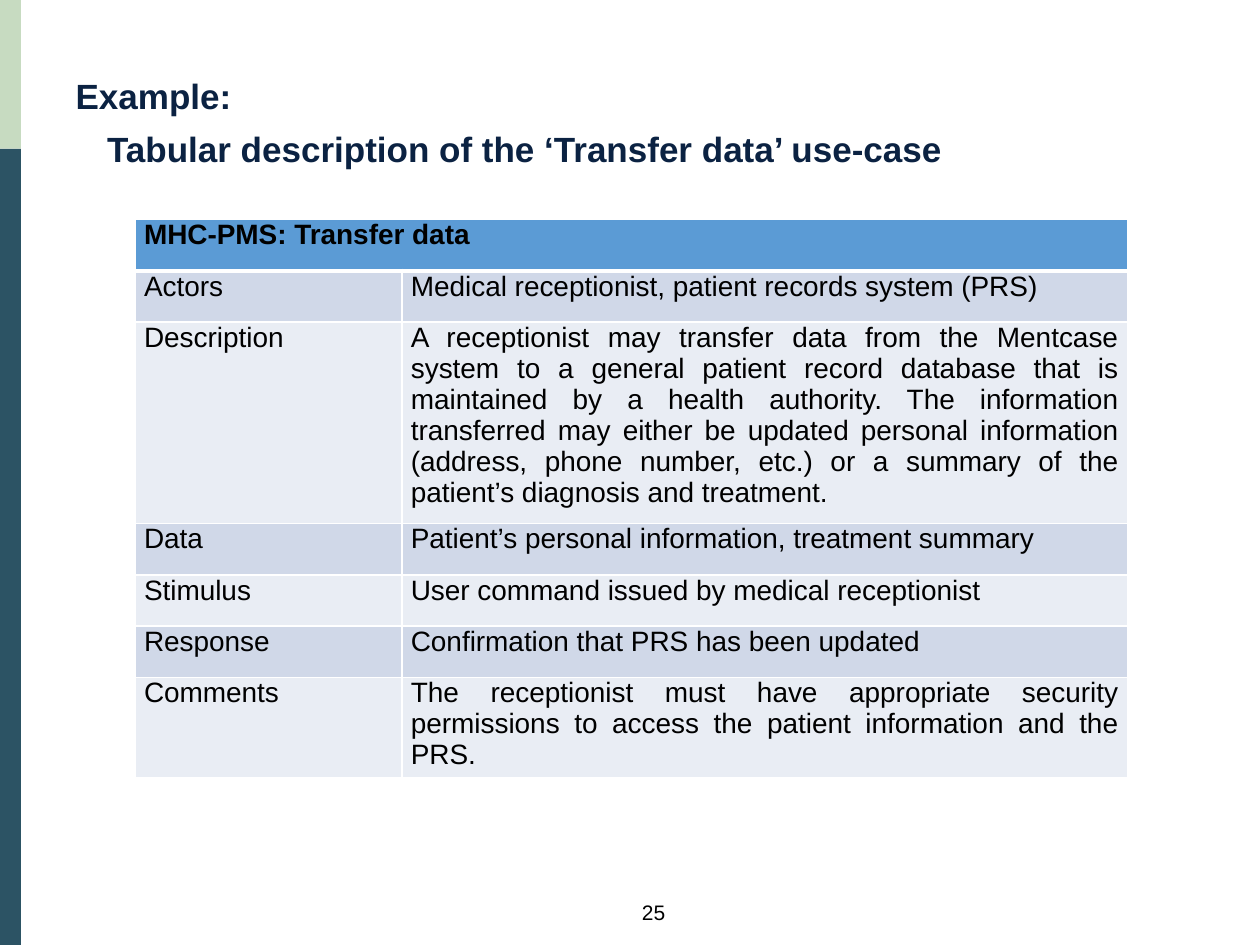
from lxml import etree
from pptx import Presentation
from pptx.dml.color import RGBColor
from pptx.enum.shapes import MSO_SHAPE
from pptx.enum.text import MSO_ANCHOR, MSO_AUTO_SIZE, PP_ALIGN
from pptx.oxml.ns import qn
from pptx.util import Pt

RECT = MSO_SHAPE.RECTANGLE
TOP = MSO_ANCHOR.TOP
LEFT, CENTER, JUST = PP_ALIGN.LEFT, PP_ALIGN.CENTER, PP_ALIGN.JUSTIFY
NO_FIT = MSO_AUTO_SIZE.NONE

GREEN = RGBColor(0xC7, 0xDB, 0xC1)
TEAL = RGBColor(0x2C, 0x53, 0x64)
NAVY = RGBColor(0x0B, 0x22, 0x42)
BLACK = RGBColor(0, 0, 0)
HEAD = RGBColor(0x5B, 0x9B, 0xD5)
BANDS = RGBColor(0xD0, 0xD8, 0xE8), RGBColor(0xE9, 0xED, 0xF4)
EDGE = "FFFFFF"
FONT = "Arial"

TITLE = "Example:\vTabular description of the ‘Transfer data’ use-case"
CASE = "MHC-PMS: Transfer data"
ROWS = [
    ("Actors", "Medical receptionist, patient records system (PRS)"),
    ("Description",
     "A receptionist may transfer data from the Mentcase system to a general "
     "patient record database that is maintained by a health authority. The "
     "information transferred may either be updated personal information "
     "(address, phone number, etc.) or a summary of the patient’s diagnosis "
     "and treatment."),
    ("Data", "Patient’s personal information, treatment summary"),
    ("Stimulus", "User command issued by medical receptionist"),
    ("Response", "Confirmation that PRS has been updated"),
    ("Comments",
     "The receptionist must have appropriate security permissions to access "
     "the patient information and the PRS."),
]


def style(para, size, color, bold=False, align=LEFT):
    para.alignment = align
    for run in para.runs:
        font = run.font
        font.name, font.size, font.bold = FONT, Pt(size), bold
        font.color.rgb = color


def add_rail(slide, x, y, w, h, split):
    """Side rail: a light part above a dark one."""
    for top, size, color in ((y, split, GREEN), (y + split, h - split, TEAL)):
        bar = slide.shapes.add_shape(RECT, Pt(x), Pt(top), Pt(w), Pt(size))
        bar.shadow.inherit = False
        bar.fill.solid()
        bar.fill.fore_color.rgb = color
        bar.line.fill.background()


def set_title(slide, x, y, w, h):
    title = slide.shapes.title
    title.left, title.top, title.width, title.height = Pt(x), Pt(y), Pt(w), Pt(h)
    frame = title.text_frame
    frame.text = TITLE
    frame.vertical_anchor = TOP
    frame.auto_size = NO_FIT
    para = frame.paragraphs[0]
    para.line_spacing = Pt(30)
    # Hanging indent
    props = para._p.get_or_add_pPr()
    props.set("marL", str(Pt(18)))
    props.set("indent", str(Pt(-18)))
    style(para, 20, NAVY, bold=True)


def set_edges(cell, top, bottom):
    props = cell._tc.get_or_add_tcPr()
    sides = (("a:lnL", 1), ("a:lnR", 1), ("a:lnT", top), ("a:lnB", bottom))
    for spot, (tag, width) in enumerate(sides):
        line = etree.Element(qn(tag), w=str(Pt(width)))
        fill = etree.SubElement(line, qn("a:solidFill"))
        etree.SubElement(fill, qn("a:srgbClr"), val=EDGE)
        props.insert(spot, line)


def fill_cell(cell, text, color, bold=False, top=1, bottom=1):
    cell.text = text
    cell.margin_left = cell.margin_right = Pt(5)
    cell.margin_top = cell.margin_bottom = 0
    cell.fill.solid()
    cell.fill.fore_color.rgb = color
    set_edges(cell, top, bottom)
    style(cell.text_frame.paragraphs[0], 16, BLACK, bold, JUST)


def add_case(slide, x, y, w, label, row):
    """Use-case table; rows grow with their text."""
    count = len(ROWS) + 1
    grid = slide.shapes.add_table(
        count, 2, Pt(x), Pt(y), Pt(w), Pt(row * count)).table
    grid.columns[0].width = Pt(label)
    grid.columns[1].width = Pt(w - label)
    for line in grid.rows:
        line.height = Pt(row)
    # Heading across both columns
    grid.cell(0, 0).merge(grid.cell(0, 1))
    fill_cell(grid.cell(0, 0), CASE, HEAD, bold=True, bottom=3)
    # Banded body
    for r, texts in enumerate(ROWS, 1):
        for c, text in enumerate(texts):
            fill_cell(grid.cell(r, c), text, BANDS[(r - 1) % 2],
                      top=3 if r == 1 else 1)


def add_number(slide, x, y, w, h):
    frame = slide.shapes.add_textbox(Pt(x), Pt(y), Pt(w), Pt(h)).text_frame
    frame.word_wrap = True
    frame.text = "25"
    style(frame.paragraphs[0], 12, BLACK, align=CENTER)


def main():
    deck = Presentation()
    deck.slide_width, deck.slide_height = Pt(720), Pt(540)
    slide = deck.slides.add_slide(deck.slide_layouts[5])
    add_number(slide, 318.5, 510.5, 110, 22)
    add_rail(slide, 0, 0, 12, 540, split=85)
    set_title(slide, 36, 33, 602, 49)
    add_case(slide, 77.3, 125.5, 567, label=152.5, row=29.3)
    deck.save("out.pptx")


if __name__ == "__main__":
    main()
